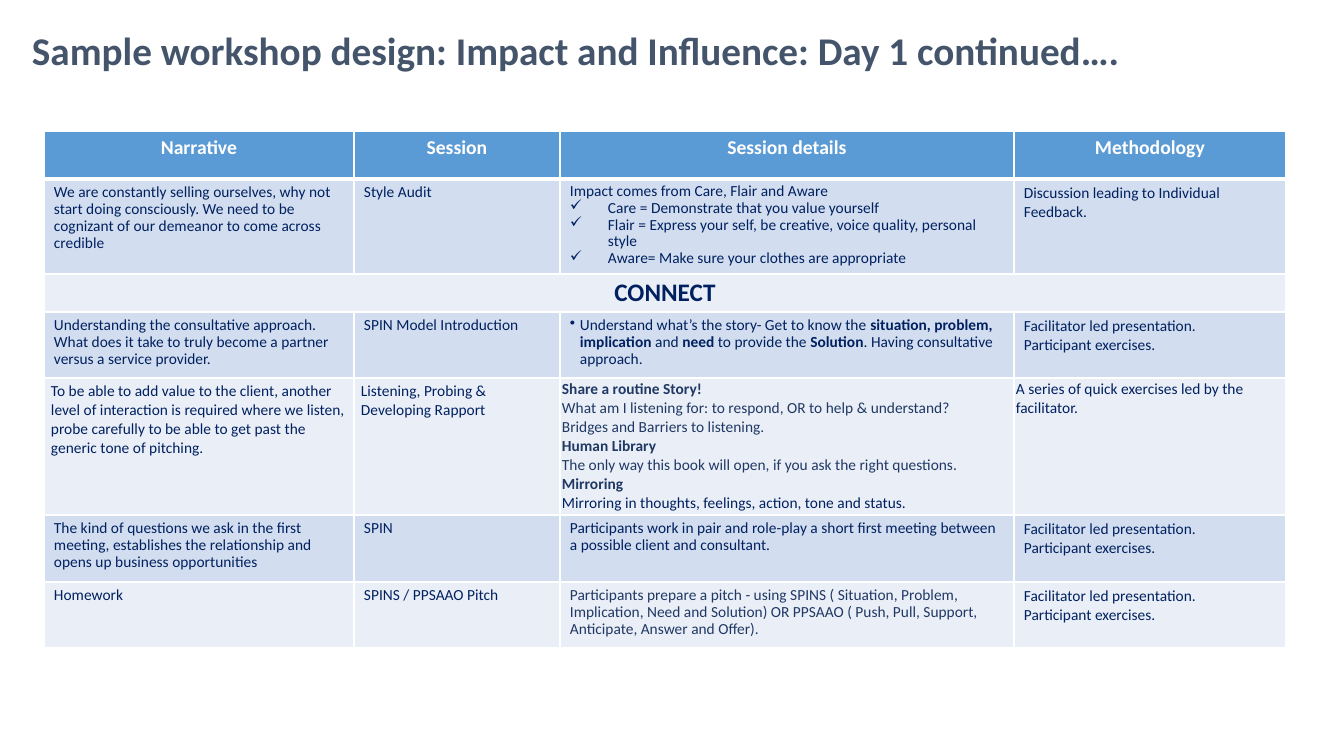
from dataclasses import dataclass
from typing import Optional

from lxml import etree
from pptx import Presentation
from pptx.dml.color import RGBColor
from pptx.enum.shapes import MSO_SHAPE
from pptx.enum.text import MSO_ANCHOR, PP_ALIGN
from pptx.oxml.ns import qn
from pptx.util import Emu, Inches, Pt

ROUND_RECT = MSO_SHAPE.ROUNDED_RECTANGLE
MIDDLE = MSO_ANCHOR.MIDDLE
LEFT, CENTER = PP_ALIGN.LEFT, PP_ALIGN.CENTER
PX = Inches(1) / 100.8


@dataclass(frozen=True)
class Theme:
    font: str = "Calibri"
    title: str = "44546A"
    header: str = "5B9BD5"
    band: str = "D2DEEF"
    light: str = "EAEFF7"
    white: str = "FFFFFF"
    navy: str = "002060"
    slate: str = "203864"
    title_size: int = 28
    section_size: int = 18
    header_size: int = 14
    body_size: int = 11


T = Theme()


@dataclass(frozen=True)
class Para:
    """A paragraph; asterisks in its text switch bold on and off."""
    text: str
    size: int = T.body_size
    color: str = T.navy
    align: PP_ALIGN = LEFT
    spacing: Optional[float] = None
    bullet: str = ""
    indent: int = 0


@dataclass(frozen=True)
class Cell:
    paras: list[Para]
    margins: tuple[int, int] = (10, 5)


@dataclass(frozen=True)
class Row:
    height: int
    fill: str
    cells: list[Cell]


def px(n: int) -> Emu:
    return Emu(round(n * PX))


def tight(text: str, **fmt) -> Cell:
    return Cell([Para(text, spacing=0.9, **fmt)])


def heading(text: str) -> Cell:
    return Cell([Para(f"*{text}*", T.header_size, T.white, CENTER)])


def check(text: str) -> Para:
    return Para(text, spacing=Pt(12), bullet="✓", indent=38)


def slate(text: str) -> Para:
    return Para(text, color=T.slate)


FACILITATOR = Cell([Para("Facilitator led presentation."), Para("Participant exercises.")])
COLUMNS = [310, 206, 454, 272]
ROWS = [
    Row(48, T.header, [heading(h) for h in ("Narrative", "Session", "Session details", "Methodology")]),
    Row(95, T.band, [
        tight("We are constantly selling ourselves, why not start doing consciously. We need to be "
              "cognizant of our demeanor to come across credible"),
        tight("Style Audit"),
        Cell([
            Para("Impact comes from Care, Flair and Aware", spacing=Pt(12)),
            check("Care = Demonstrate that you value yourself"),
            check("Flair = Express your self, be creative, voice quality, personal style"),
            check("Aware= Make sure your clothes are appropriate"),
        ]),
        Cell([Para("Discussion leading to Individual Feedback.")]),
    ]),
    Row(38, T.light, [tight("*CONNECT*", size=T.section_size, align=CENTER)]),
    Row(66, T.band, [
        tight("Understanding the consultative approach. What does it take to truly become a partner "
              "versus a service provider."),
        tight("SPIN Model Introduction"),
        tight("Understand what’s the story- Get to know the *situation, problem, implication* and "
              "*need* to provide the *Solution*. Having consultative approach.", bullet="•", indent=10),
        FACILITATOR,
    ]),
    Row(133, T.light, [
        Cell([Para("To be able to add value to the client, another level of interaction is required "
                   "where we listen, probe carefully to be able to get past the generic tone of "
                   "pitching.")], (7, 4)),
        Cell([Para("Listening, Probing & Developing Rapport")], (7, 4)),
        Cell([
            slate("*Share a routine Story!*"),
            slate("What am I listening for: to respond, OR to help & understand?"),
            slate("Bridges and Barriers to listening."),
            slate("*Human Library*"),
            slate("The only way this book will open, if you ask the right questions."),
            slate("*Mirroring*"),
            Para("Mirroring in thoughts, feelings, action, tone and status."),
        ], (2, 2)),
        Cell([Para("A series of quick exercises led by the facilitator.")], (2, 2)),
    ]),
    Row(67, T.band, [
        tight("The kind of questions we ask in the first meeting, establishes the relationship and "
              "opens up business opportunities"),
        tight("SPIN"),
        tight("Participants work in pair and role-play a short first meeting between a possible "
              "client and consultant."),
        FACILITATOR,
    ]),
    Row(66, T.light, [
        tight("Homework"),
        tight("SPINS / PPSAAO Pitch"),
        tight("Participants prepare a pitch - using SPINS ( Situation, Problem, Implication, Need and "
              "Solution) OR PPSAAO ( Push, Pull, Support, Anticipate, Answer and Offer).", color=T.slate),
        FACILITATOR,
    ]),
]


def add_run(p, text: str, *, size: int, color: str, bold: bool) -> None:
    r = p.add_run()
    r.text = text
    r.font.name, r.font.size, r.font.bold = T.font, Pt(size), bold
    r.font.color.rgb = RGBColor.from_string(color)


def write(tf, paras: list[Para]) -> None:
    for i, para in enumerate(paras):
        p = tf.add_paragraph() if i else tf.paragraphs[0]
        p.alignment = para.align
        if para.spacing:
            p.line_spacing = para.spacing
        if para.bullet:
            pPr = p._p.get_or_add_pPr()
            pPr.set("marL", str(px(para.indent)))
            pPr.set("indent", str(-px(para.indent)))
            etree.SubElement(pPr, qn("a:buChar"), char=para.bullet)
        for k, part in enumerate(para.text.split("*")):
            if part:
                add_run(p, part, size=para.size, color=para.color, bold=k % 2 == 1)


def set_borders(cell, bottom: int) -> None:
    tcPr = cell._tc.get_or_add_tcPr()
    for i, (side, width) in enumerate(zip("LRTB", (1, 1, 1, bottom))):
        ln = etree.Element(qn(f"a:ln{side}"), w=str(Pt(width)))
        fill = etree.SubElement(ln, qn("a:solidFill"))
        etree.SubElement(fill, qn("a:srgbClr"), val=T.white)
        tcPr.insert(i, ln)


def add_title(slide, text: str) -> None:
    sp = slide.shapes.add_shape(ROUND_RECT, px(19), px(18), px(1267), px(64))
    sp.shadow.inherit = False
    sp.fill.background()
    sp.line.fill.background()
    tf = sp.text_frame
    tf.word_wrap, tf.vertical_anchor = True, MIDDLE
    write(tf, [Para(f"*{text}*", T.title_size, T.title)])


def add_agenda(slide) -> None:
    width, height = sum(COLUMNS), sum(row.height for row in ROWS)
    table = slide.shapes.add_table(len(ROWS), len(COLUMNS), px(44), px(131), px(width), px(height)).table
    table.first_row = table.horz_banding = False
    for column, w in zip(table.columns, COLUMNS):
        column.width = px(w)
    for i, row in enumerate(ROWS):
        table.rows[i].height = px(row.height)
        for j in range(len(COLUMNS)):
            cell = table.cell(i, j)
            cell.fill.solid()
            cell.fill.fore_color.rgb = RGBColor.from_string(row.fill)
            set_borders(cell, bottom=1 if i else 3)
        if len(row.cells) == 1:
            table.cell(i, 0).merge(table.cell(i, len(COLUMNS) - 1))
        for j, content in enumerate(row.cells):
            cell = table.cell(i, j)
            cell.margin_left = cell.margin_right = px(content.margins[0])
            cell.margin_top = cell.margin_bottom = px(content.margins[1])
            write(cell.text_frame, content.paras)


def main() -> None:
    prs = Presentation()
    prs.slide_width, prs.slide_height = px(1344), px(756)
    slide = prs.slides.add_slide(prs.slide_layouts[6])
    add_agenda(slide)
    add_title(slide, "Sample workshop design: Impact and Influence: Day 1 continued….")
    prs.save("out.pptx")


if __name__ == "__main__":
    main()
